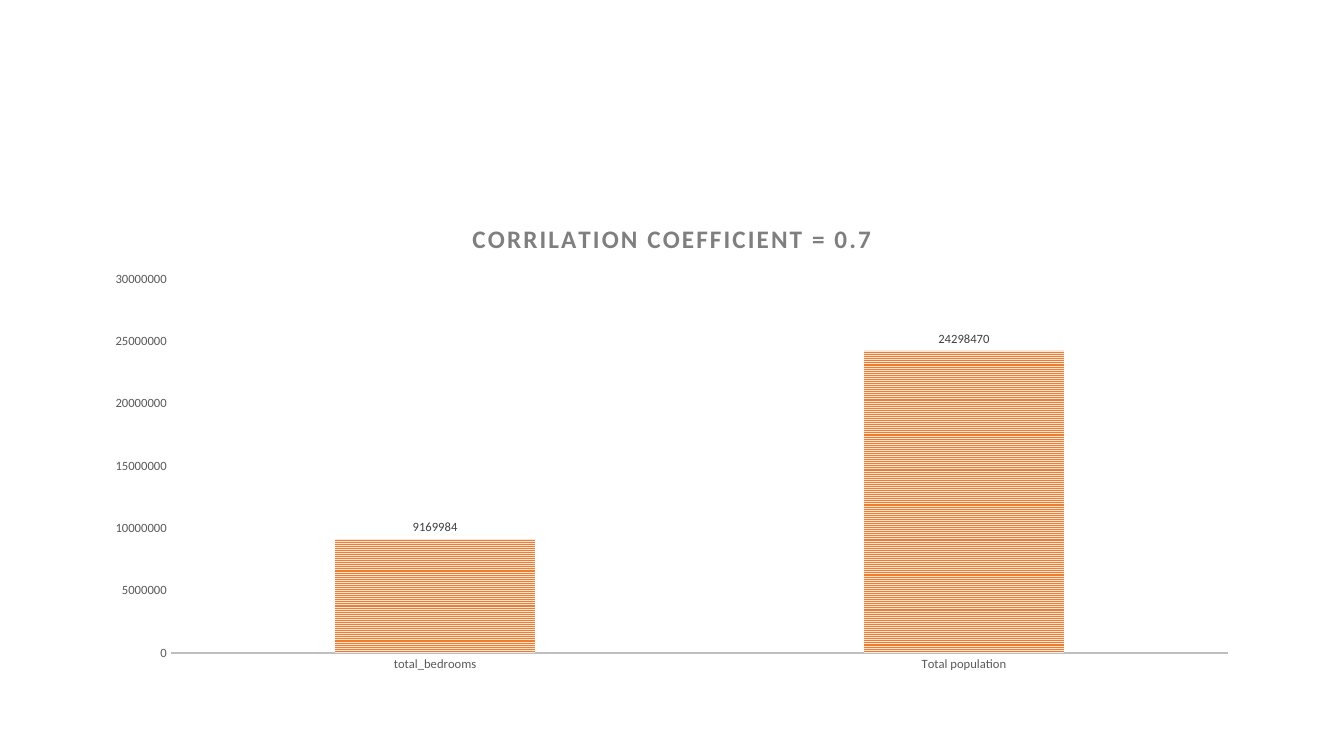
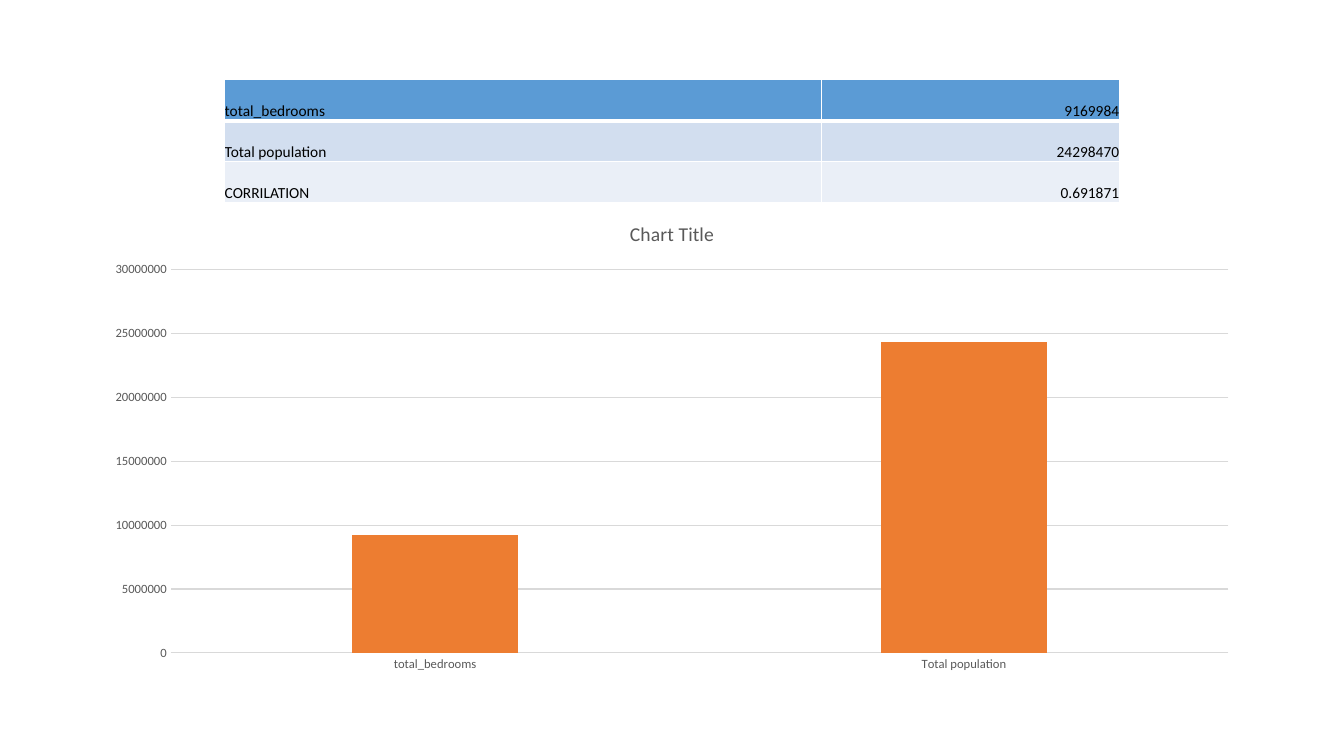
from dataclasses import dataclass

from lxml import etree
from pptx import Presentation
from pptx.chart.data import CategoryChartData
from pptx.dml.color import RGBColor
from pptx.enum.chart import XL_CHART_TYPE, XL_LABEL_POSITION, XL_TICK_MARK
from pptx.enum.dml import MSO_PATTERN
from pptx.enum.text import MSO_ANCHOR, PP_ALIGN
from pptx.oxml.ns import qn
from pptx.util import Pt

COLUMN = XL_CHART_TYPE.COLUMN_CLUSTERED
OUTSIDE = XL_LABEL_POSITION.OUTSIDE_END
NO_TICK = XL_TICK_MARK.NONE
STRIPES = MSO_PATTERN.NARROW_HORIZONTAL
BOTTOM = MSO_ANCHOR.BOTTOM
LEFT, RIGHT = PP_ALIGN.LEFT, PP_ALIGN.RIGHT

FONT = "Calibri"
BLACK, WHITE = "000000", "FFFFFF"
GREY, DARK, PALE = "595959", "404040", "D9D9D9"
ORANGE, PEACH = "ED7D31", "FBE5D6"
ROW_FILLS = ("5B9BD5", "D2DEEF", "EAEFF7")
NAMES = ("total_bedrooms", "Total population")


@dataclass
class Style:
    """Look of one chart's title."""
    size: float
    color: str
    bold: bool = False
    space: int = 0  # letter spacing, hundredths of a point


@dataclass
class Plot:
    title: str
    style: Style
    values: tuple[int, int]
    gap: int
    overlap: int
    base: tuple[str, float]  # category axis line
    grid: bool = False
    striped: bool = False
    labels: bool = False


PLOTS = (
    Plot("CORRILATION COEFFICIENT = 0.7", Style(18, "7F7F7F", True, 150),
         (9169984, 24298470), 164, -22, ("BFBFBF", 1.5),
         striped=True, labels=True),
    Plot("Chart Title", Style(14, GREY), (9200000, 24300000),
         219, -27, (PALE, 0.75), grid=True),
)
ROWS = (
    (NAMES[0], "9169984"),
    (NAMES[1], "24298470"),
    ("CORRILATION", "0.691871"),
)


def rgb(code: str) -> RGBColor:
    return RGBColor.from_string(code)


def set_font(font, size: float, color: str, bold: bool = False) -> None:
    font.name, font.size, font.bold = FONT, Pt(size), bold
    font.color.rgb = rgb(color)


def set_line(line, color: str, width: float) -> None:
    line.color.rgb = rgb(color)
    line.width = Pt(width)


def add_title(chart, text: str, style: Style) -> None:
    chart.has_title = True
    chart.chart_title.include_in_layout = False
    run = chart.chart_title.text_frame.paragraphs[0].add_run()
    run.text = text
    set_font(run.font, style.size, style.color, style.bold)
    if style.space:
        run.font._element.set("spc", str(style.space))


def add_plot(slide, plot: Plot) -> None:
    data = CategoryChartData()
    data.categories = NAMES
    data.add_series("Series 1", plot.values)
    chart = slide.shapes.add_chart(
        COLUMN, Pt(66), Pt(144), Pt(828), Pt(342.6), data).chart
    set_font(chart.font, 10, BLACK)
    chart.has_legend = False
    add_title(chart, plot.title, plot.style)

    # Axes
    cat, val = chart.category_axis, chart.value_axis
    for axis in (cat, val):
        axis.major_tick_mark = axis.minor_tick_mark = NO_TICK
        set_font(axis.tick_labels.font, 9, GREY)
    set_line(cat.format.line, *plot.base)
    val.format.line.fill.background()
    val.minimum_scale, val.maximum_scale = 0, 30000000
    val.major_unit = 5000000
    val.has_major_gridlines = plot.grid
    if plot.grid:
        set_line(val.major_gridlines.format.line, PALE, 0.75)

    # Bars
    bars = chart.plots[0]
    bars.gap_width, bars.overlap = plot.gap, plot.overlap
    bars.vary_by_categories = False
    fill = bars.series[0].format.fill
    if plot.striped:
        fill.patterned()
        fill.pattern = STRIPES
        fill.fore_color.rgb, fill.back_color.rgb = rgb(ORANGE), rgb(PEACH)
    else:
        fill.solid()
        fill.fore_color.rgb = rgb(ORANGE)
    if plot.labels:
        labels = bars.series[0].data_labels
        labels.show_value = True
        labels.position = OUTSIDE
        set_font(labels.font, 9, DARK)


def add_edge(cell, side: str, width: float) -> None:
    props = cell._tc.get_or_add_tcPr()
    edge = etree.Element(qn(f"a:ln{side}"), w=str(Pt(width)))
    fill = etree.SubElement(edge, qn("a:solidFill"))
    etree.SubElement(fill, qn("a:srgbClr"), val=WHITE)
    # Borders come before the fill
    props.insert(len(props) - 1, edge)


def add_table(slide) -> None:
    table = slide.shapes.add_table(
        len(ROWS), 2, Pt(160), Pt(57), Pt(640), Pt(87.9)).table
    for col, width in zip(table.columns, (427, 213)):
        col.width = Pt(width)
    for i, row in enumerate(ROWS):
        table.rows[i].height = Pt(29.3)
        for j, text in enumerate(row):
            cell = table.cell(i, j)
            cell.fill.solid()
            cell.fill.fore_color.rgb = rgb(ROW_FILLS[i])
            cell.vertical_anchor = BOTTOM
            cell.margin_left = cell.margin_right = cell.margin_top = Pt(0.5)
            cell.margin_bottom = Pt(0)
            # Thick rule under the header row
            top, low = (3 if i == 1 else 1), (3 if i == 0 else 1)
            for side, width in zip("LRTB", (1, 1, top, low)):
                add_edge(cell, side, width)
            para = cell.text_frame.paragraphs[0]
            para.alignment = RIGHT if j else LEFT
            run = para.add_run()
            run.text = text
            set_font(run.font, 11, BLACK)


def main() -> None:
    deck = Presentation()
    deck.slide_width, deck.slide_height = Pt(960), Pt(540)
    blank = deck.slide_layouts[6]
    for plot in PLOTS:
        slide = deck.slides.add_slide(blank)
        add_plot(slide, plot)
    # The table belongs to the last slide
    add_table(slide)
    deck.save("out.pptx")


if __name__ == "__main__":
    main()
